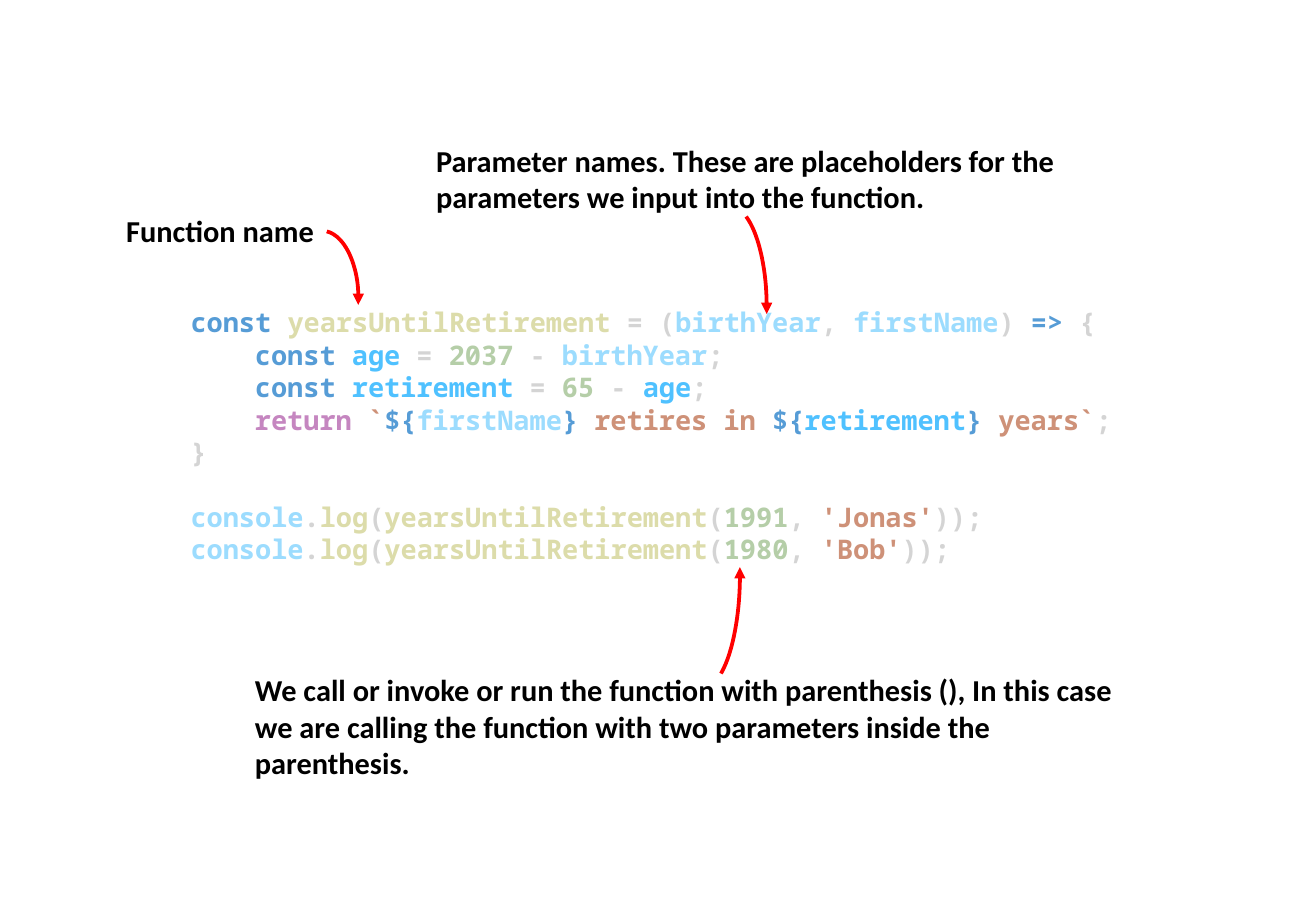
from lxml import etree
from pptx import Presentation
from pptx.dml.color import RGBColor
from pptx.enum.shapes import MSO_SHAPE
from pptx.enum.text import MSO_AUTO_SIZE
from pptx.oxml.ns import qn
from pptx.util import Inches, Pt

ARC = MSO_SHAPE.ARC
GROW = MSO_AUTO_SIZE.SHAPE_TO_FIT_TEXT

BLACK = RGBColor(0x00, 0x00, 0x00)
RED = RGBColor(0xFF, 0x00, 0x00)
BLUE = RGBColor(0x56, 0x9C, 0xD6)
CREAM = RGBColor(0xDC, 0xDC, 0xAA)
GREY = RGBColor(0xD4, 0xD4, 0xD4)
SKY = RGBColor(0x9C, 0xDC, 0xFE)
AZURE = RGBColor(0x4F, 0xC1, 0xFF)
GREEN = RGBColor(0xB5, 0xCE, 0xA8)
PINK = RGBColor(0xC5, 0x86, 0xC0)
RUST = RGBColor(0xCE, 0x91, 0x78)

CODE_FONT = {"name": "Noto Sans Mono", "size": Pt(16), "bold": True}
NOTE_FONT = {"name": "Calibri", "size": Pt(18), "bold": True}
NOTE_GAP = {"space_before": Pt(6), "space_after": Pt(6)}
INDENT = Inches(0.53)
CALL_GAP = {"space_before": Pt(19.2)}


def call(year, name):
    return [("console", SKY), (".", GREY), ("log", CREAM), ("(", GREY),
            ("yearsUntilRetirement", CREAM), ("(", GREY), (year, GREEN),
            (", ", GREY), (name, RUST), ("));", GREY)]


CODE = [
    (0, {}, [("const ", BLUE), ("yearsUntilRetirement", CREAM),
             (" = (", GREY), ("birthYear", SKY), (", ", GREY),
             ("firstName", SKY), (") ", GREY), ("=>", BLUE), (" {", GREY)]),
    (INDENT, {}, [("const ", BLUE), ("age", AZURE), (" = ", GREY),
                  ("2037", GREEN), (" - ", GREY), ("birthYear", SKY),
                  (";", GREY)]),
    (INDENT, {}, [("const ", BLUE), ("retirement", AZURE), (" = ", GREY),
                  ("65", GREEN), (" - ", GREY), ("age", AZURE), (";", GREY)]),
    (INDENT, {}, [("return ", PINK), ("`", RUST), ("${", BLUE),
                  ("firstName", SKY), ("}", BLUE), (" retires in ", RUST),
                  ("${", BLUE), ("retirement", AZURE), ("}", BLUE),
                  (" years`", RUST), (";", GREY)]),
    (0, {}, [("}", GREY)]),
    (0, CALL_GAP, call("1991", "'Jonas'")),
    (0, {}, call("1980", "'Bob'")),
]

NOTES = [
    ((0.94, 1.7, 1.79, 0.4), "Function name"),
    ((3.49, 1.12, 5.65, 0.71),
     "Parameter names. These are placeholders for the parameters "
     "we input into the function."),
    ((2, 5.48, 7.57, 0.71),
     "We call or invoke or run the function with parenthesis (), In this "
     "case we are calling the function with two parameters inside the "
     "parenthesis."),
]

ARROWS = [
    ((2.35, 1.9, 0.6, 1.12), 56.46, {"flipH": "1", "flipV": "1"}),
    ((5.71, 1.7, 0.6, 1.67), 59.92, {"flipH": "1", "flipV": "1"}),
    ((5.49, 3.78, 0.6, 1.88), 59.92, {"flipH": "1"}),
]
ARC_END = 113.76


def style(item, values):
    for key, value in values.items():
        setattr(item, key, value)


class Page:
    def __init__(self, deck):
        self.shapes = deck.slides.add_slide(deck.slide_layouts[6]).shapes

    def text(self, box, font, lines):
        frame = self.shapes.add_textbox(*map(Inches, box)).text_frame
        style(frame, {"word_wrap": True, "auto_size": GROW})
        for row, (indent, gap, parts) in enumerate(lines):
            para = frame.add_paragraph() if row else frame.paragraphs[0]
            style(para, gap)
            if indent:
                para._p.get_or_add_pPr().set("marL", str(indent))
            for words, color in parts:
                run = para.add_run()
                run.text = words
                style(run.font, font)
                run.font.color.rgb = color

    def note(self, box, words):
        self.text(box, NOTE_FONT, [(0, NOTE_GAP, [(words, BLACK)])])

    def arrow(self, box, start, flips):
        arc = self.shapes.add_shape(ARC, *map(Inches, box))
        arc.shadow.inherit = False
        arc.adjustments[0] = start
        arc.adjustments[1] = ARC_END
        arc.fill.background()
        arc.line.color.rgb = RED
        arc.line.width = Pt(2.25)
        etree.SubElement(arc.line._get_or_add_ln(), qn("a:tailEnd"),
                         type="triangle")
        frame = arc._element.spPr.find(qn("a:xfrm"))
        for key, value in flips.items():
            frame.set(key, value)


def main():
    deck = Presentation()
    style(deck, {"slide_width": Inches(10.83), "slide_height": Inches(7.5)})
    page = Page(deck)
    page.text((1.47, 2.47, 8.04, 2.26), CODE_FONT, CODE)
    for note in NOTES:
        page.note(*note)
    for arrow in ARROWS:
        page.arrow(*arrow)
    deck.save("out.pptx")


if __name__ == "__main__":
    main()
